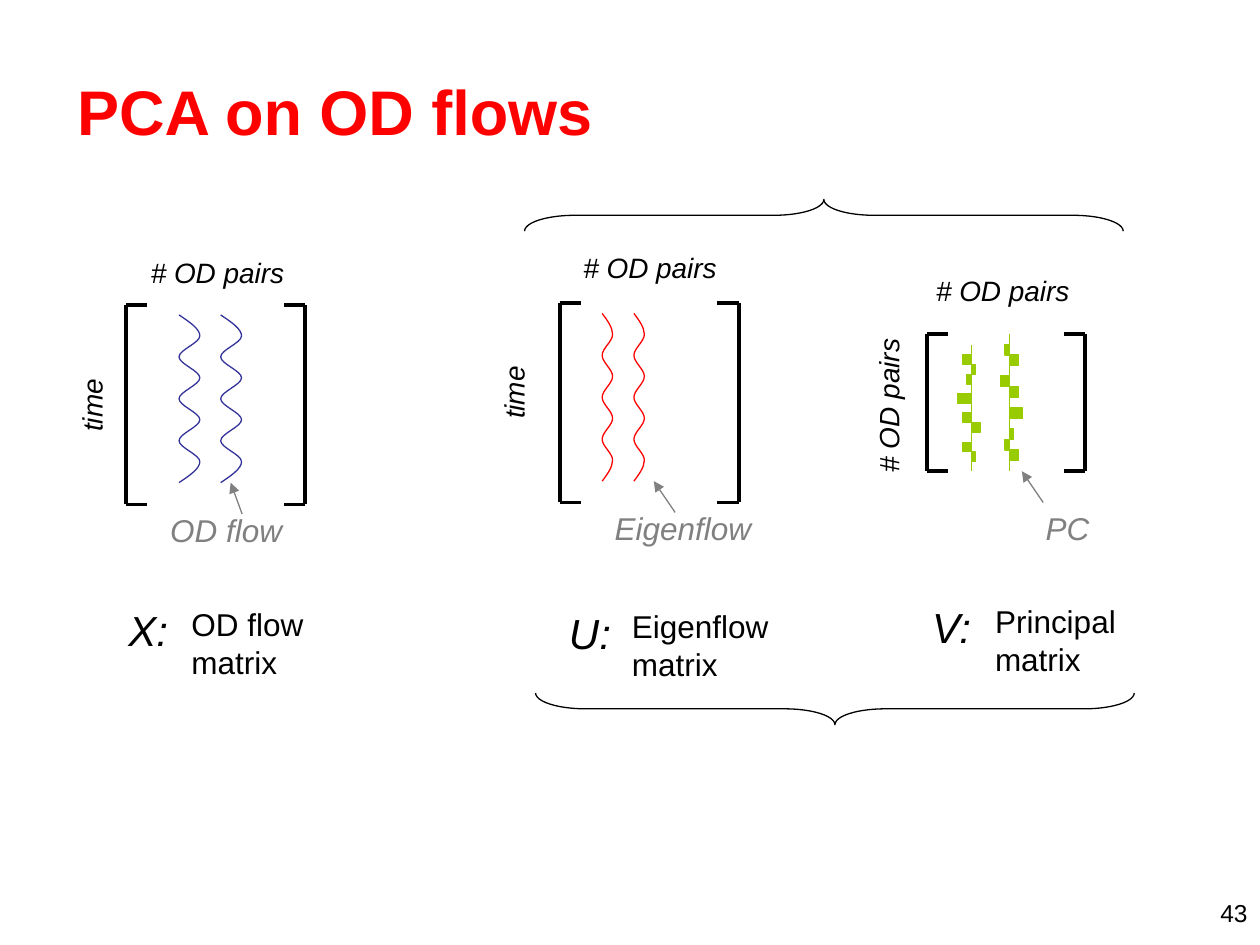
from lxml import etree
from pptx import Presentation, util as u
from pptx.dml.color import RGBColor
from pptx.enum import shapes, text
from pptx.oxml.ns import qn

BLACK, GREY, GREEN = "000000", "808080", "99CC00"


def paint(color, value):
    """Set a colour format from a hex string."""
    color.rgb = RGBColor.from_string(value)


def label(slide, box, words, size, hue=BLACK, slant=False, turn=0, align=None):
    """Add a plain text box, with one paragraph for each line of words."""
    shape = slide.shapes.add_textbox(*map(u.Cm, box))
    shape.rotation = turn
    frame = shape.text_frame
    frame.word_wrap = align is not None
    if align is None:
        frame.auto_size = text.MSO_AUTO_SIZE.SHAPE_TO_FIT_TEXT
    frame.text = words
    for par in frame.paragraphs:
        par.alignment = align
        par.font.name, par.font.size = "Arial", u.Pt(size)
        par.font.italic = slant
        paint(par.font.color, hue)


def stroke(slide, start, end, hue, width=0.75, arrow=False):
    """Draw a straight line, with an optional arrowhead at its end."""
    line = slide.shapes.add_connector(
        shapes.MSO_CONNECTOR.STRAIGHT, *map(u.Cm, (*start, *end)))
    paint(line.line.color, hue)
    line.line.width = u.Pt(width)
    props = line._element.spPr
    if arrow:
        etree.SubElement(props.find(qn("a:ln")), qn("a:tailEnd"), type="triangle")
    etree.SubElement(props, qn("a:effectLst"))


def wave(slide, box, hue):
    """Draw a wave of eight curves down the given box."""
    left, top, width, height = box
    sides = [0.5, 1, 1] + [1, 0, 0, 0, 1, 1] * 3 + [1, 0.5, 0]
    step = height / len(sides)
    pen = slide.shapes.build_freeform(u.Cm(left), u.Cm(top))
    pen.add_line_segments(
        [(u.Cm(left + side * width), u.Cm(top + i * step))
         for i, side in enumerate(sides, 1)], close=False)
    shape = pen.convert_to_shape()
    shape.shadow.inherit = False
    shape.fill.background()
    paint(shape.line.color, hue)
    shape.line.width = u.Pt(0.75)
    track = next(shape._element.iter(qn("a:lnTo"))).getparent()
    lines = track.findall(qn("a:lnTo"))
    for i in range(0, len(lines), 3):
        curve = etree.SubElement(track, qn("a:cubicBezTo"))
        for line in lines[i:i + 3]:
            curve.append(line[0])
            track.remove(line)


def bars(slide, x, top, height, sizes):
    """Draw a vertical axis with signed bars on its two sides."""
    stroke(slide, (x, top), (x, top + height), GREEN)
    pitch = height / (len(sizes) + 2)
    for row, size in enumerate(sizes, 1):
        if size:
            width = 0.09 * abs(size)
            bar = slide.shapes.add_shape(
                shapes.MSO_SHAPE.RECTANGLE, u.Cm(x + min(0, 0.09 * size)),
                u.Cm(top + row * pitch), u.Cm(width), u.Cm(pitch))
            bar.shadow.inherit = False
            bar.fill.solid()
            paint(bar.fill.fore_color, GREEN)
            paint(bar.line.color, GREEN)
            bar.line.width = u.Pt(0.75)


def matrix(slide, box, head, side, note, arrow, key):
    """Draw a bracketed matrix with its head, side, note and key labels."""
    left, top, width, height = box
    low = top + height
    for x, tick in ((left, 0.43), (left + width, -0.43)):
        for start, end in (((x, top), (x + tick, top)), ((x, top), (x, low)),
                           ((x, low), (x + tick, low))):
            stroke(slide, start, end, BLACK, 2.25)
    label(slide, (left + head[0], top + head[1], 3.2, 0.94),
          "# OD pairs", 16, slant=True)
    words, wide, dx, dy = side
    label(slide, (left + dx - wide / 2, top + dy - 0.47, wide, 0.94),
          words, 16, slant=True, turn=270)
    words, wide, dx = note
    label(slide, (left + dx, low + note_gap(height), wide, 1.02),
          words, 18, GREY, True)
    dx, dy, run = arrow
    stroke(slide, (left + dx + run, low + dy + 0.63), (left + dx, low + dy),
           GREY, arrow=True)
    sign, words, wide, dx, dy = key
    label(slide, (left + dx, top + dy, 1.35, 1.27), sign, 24, slant=True)
    label(slide, (left + dx + 1.27, top + dy, wide, 1.78), words, 18)


def note_gap(height):
    """Return the drop that lines up the note of a shorter matrix."""
    return 0.63 if height < 4 else 0


def flows(slide, box, hue, gap, width, *spots):
    """Draw equal waves inside a matrix."""
    for dx in spots:
        wave(slide, (box[0] + dx, box[1] + gap, width, 3.38), hue)


def brace(slide, x, y, turn):
    """Draw a wide horizontal brace centred on a point."""
    wide, tall = 0.64, 12.07
    shape = slide.shapes.add_shape(
        shapes.MSO_SHAPE.RIGHT_BRACE, u.Cm(x - wide / 2), u.Cm(y - tall / 2),
        u.Cm(wide), u.Cm(tall))
    shape.adjustments[0] = 1.58
    shape.rotation = turn
    shape.shadow.inherit = False
    shape.fill.background()
    paint(shape.line.color, BLACK)
    shape.line.width = u.Pt(0.75)


def heading(slide, box, words):
    """Place and format the slide title."""
    title = slide.shapes.title
    title.left, title.top, title.width, title.height = map(u.Cm, box)
    frame = title.text_frame
    frame.text = words
    frame.vertical_anchor = text.MSO_ANCHOR.MIDDLE
    par = frame.paragraphs[0]
    par.alignment = text.PP_ALIGN.LEFT
    par.font.name, par.font.size, par.font.bold = "Arial", u.Pt(36), True
    paint(par.font.color, "FF0000")


def main():
    """Build the slide and save it."""
    deck = Presentation()
    deck.slide_width, deck.slide_height = u.Cm(25.4), u.Cm(19.05)
    slide = deck.slides.add_slide(deck.slide_layouts[5])
    heading(slide, (1.3, 0.64, 22.63, 3.18), "PCA on OD flows")

    data = (2.54, 6.15, 3.61, 4.02)
    matrix(slide, data, (0.25, -1.12), ("time", 1.57, -0.69, 2.02),
           ("OD flow", 2.78, 0.64), (2.11, -0.44, 0.23),
           ("X:", "OD flow\nmatrix", 2.78, -0.2, 5.92))
    flows(slide, data, "333399", 0.2, 0.42, 1.07, 1.91)

    eigen = (11.28, 6.1, 3.61, 4.03)
    matrix(slide, eigen, (0.23, -1.17), ("time", 1.57, -0.92, 1.81),
           ("Eigenflow", 3.3, 0.86), (1.9, -0.43, 0.43),
           ("U:", "Eigenflow\nmatrix", 3.3, -0.06, 6.02))
    flows(slide, eigen, "FF0000", 0.22, 0.21, 0.86, 1.5)

    parts = (18.69, 6.73, 3.18, 2.77)
    matrix(slide, parts, (-0.07, -1.35), ("# OD pairs", 3.2, -0.78, 1.44),
           ("PC", 1.42, 2.14), (1.91, 0, 0.43),
           ("V:", "Principal\nmatrix", 2.98, -0.15, 5.28))
    left, top, _, height = parts
    bars(slide, left + 0.89, top + 0.23, height - 0.23,
         (-2, 1, -1, 0, -3, 0, -2, 2, 0, -2, 1))
    bars(slide, left + 1.66, top, height,
         (-1, 2, 0, -2, 2, 0, 3, 0, 1, -1, 2))

    brace(slide, 16.61, 4.34, 270)
    brace(slide, 16.83, 14.29, 90)
    label(slide, (19.48, 17.98, 5.92, 0.64), "43", 14,
          align=text.PP_ALIGN.RIGHT)
    deck.save("out.pptx")


if __name__ == "__main__":
    main()
